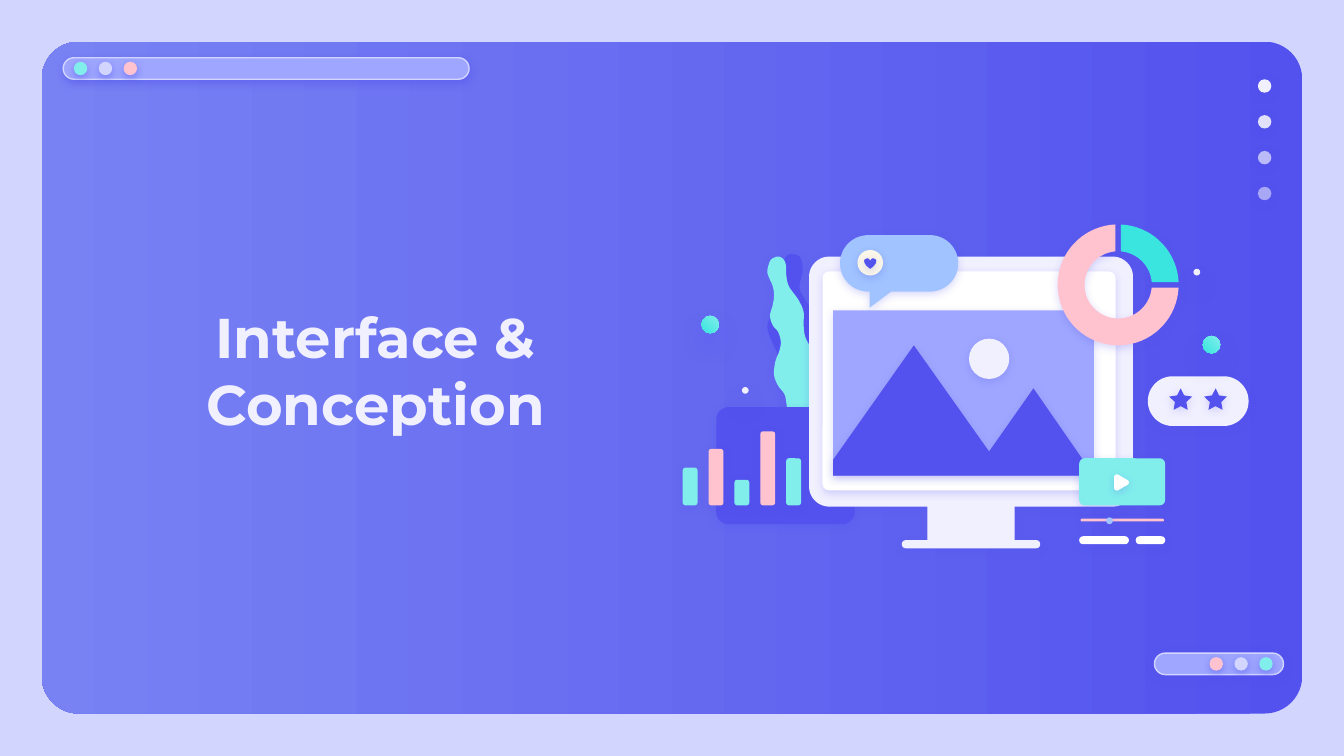
from math import asin, cos, degrees, radians, sin

from lxml.etree import SubElement
from pptx import Presentation
from pptx.dml.color import RGBColor
from pptx.enum.shapes import MSO_SHAPE
from pptx.enum.text import MSO_ANCHOR, PP_ALIGN
from pptx.oxml.ns import qn
from pptx.util import Inches, Pt

COLORS = {
    "background": "D2D6FF", "indigo": "5352EE", "violet": "7882F3",
    "lavender": "9EA6FF", "mint": "81EEEB", "teal": "3AE4DF",
    "pink": "FFC3D0", "sky": "A1C3FF", "pale": "F1F0FF",
    "cream": "FAF6E8", "white": "FFFFFF",
}
# Shadows: opacity in percent, blur and distance in points
FIRM, LIGHT, FAINT, GLOW = (50, 4.5, 1.5), (22, 4.5, 1.5), (18, 4.5, 1.5), (38, 12.4, 6.8)

DARK_LEAF = [
    (5.89, 1.89), (5.95, 1.91), (5.97, 1.97), (5.97, 2.03), (5.95, 2.15), (6.01, 2.26),
    (6.06, 2.35), (6.07, 2.45), (6.04, 2.53), (6.09, 2.66), (6.15, 2.77), (6.12, 2.91),
    (6.08, 3.03), (6.05, 3.13), (5.98, 3.14), (5.87, 3.05), (5.87, 2.92),
    (5.87, 2.82), (5.79, 2.64), (5.71, 2.43), (5.78, 2.3), (5.85, 2.15), (5.84, 2.06),
    (5.83, 1.97), (5.85, 1.91),
]
MINT_LEAF = [
    (5.79, 1.91), (5.83, 1.93), (5.85, 1.98), (5.85, 2.04), (5.87, 2.13), (5.94, 2.23),
    (5.98, 2.32), (5.98, 2.41), (5.99, 2.5), (6.03, 2.58), (6.09, 2.66), (6.11, 2.75),
    (6.08, 2.83), (6.05, 2.96), (6.08, 3.03), (6.09, 3.13), (6.05, 3.19), (6, 3.21),
    (5.9, 3.17), (5.86, 3.05), (5.84, 2.94), (5.79, 2.87), (5.76, 2.79), (5.77, 2.69),
    (5.8, 2.61), (5.81, 2.54), (5.79, 2.47), (5.75, 2.42), (5.73, 2.35), (5.75, 2.27),
    (5.76, 2.2), (5.75, 2.13), (5.72, 2.06), (5.71, 2.02), (5.72, 1.97), (5.74, 1.93),
]


def rgb(name):
    return RGBColor.from_string(COLORS[name])


def arc(cx, cy, r, start, end):
    """Points on an arc; angles in degrees, clockwise from the top."""
    steps = max(8, round(abs(end - start) / 5))
    angles = [radians(start + (end - start) * i / steps) for i in range(steps + 1)]
    return [(cx + r * sin(a), cy - r * cos(a)) for a in angles]


def ring_part(cx, cy, outer, inner, start, end, gap):
    """Outline of a ring sector that keeps a constant gap at both ends."""
    far, near = degrees(asin(gap / outer)), degrees(asin(gap / inner))
    return (arc(cx, cy, outer, start + far, end - far)
            + arc(cx, cy, inner, end - near, start + near))


def smooth(points, steps=6):
    """Closed Catmull-Rom curve through the points."""
    curve = []
    for i in range(len(points)):
        p0, p1, p2, p3 = (points[(i + k) % len(points)] for k in (-1, 0, 1, 2))
        for t in (n / steps for n in range(steps)):
            curve.append(tuple(
                (2 * b + (c - a) * t + (2 * a - 5 * b + 4 * c - d) * t ** 2
                 + (3 * b - a - 3 * c + d) * t ** 3) / 2
                for a, b, c, d in zip(p0, p1, p2, p3)))
    return curve


class SlideBuilder:
    font = "Montserrat"

    def __init__(self, slide):
        self.slide = slide
        slide.background.fill.solid()
        slide.background.fill.fore_color.rgb = rgb("background")

    def style(self, sp, color, shadow=None):
        sp.shadow.inherit = False
        sp.line.fill.background()
        if isinstance(color, tuple):
            sp.fill.gradient()
            for stop, name, position in zip(sp.fill.gradient_stops, color, (0, 1)):
                stop.color.rgb, stop.position = rgb(name), position
        else:
            sp.fill.solid()
            sp.fill.fore_color.rgb = rgb(color)
        if shadow:
            opacity, blur, distance = shadow
            effects = sp._element.spPr.find(qn("a:effectLst"))
            outer = SubElement(effects, qn("a:outerShdw"), blurRad=str(Pt(blur)),
                               dist=str(Pt(distance)), dir="5400000",
                               algn="bl", rotWithShape="0")
            clr = SubElement(outer, qn("a:srgbClr"), val=COLORS["indigo"])
            SubElement(clr, qn("a:alpha"), val=str(opacity * 1000))
        return sp

    def preset(self, kind, x, y, w, h, color, shadow=LIGHT):
        sp = self.slide.shapes.add_shape(kind, Inches(x), Inches(y), Inches(w), Inches(h))
        return self.style(sp, color, shadow)

    def rounded(self, x, y, w, h, radius, color, shadow=LIGHT):
        sp = self.preset(MSO_SHAPE.ROUNDED_RECTANGLE, x, y, w, h, color, shadow)
        sp.adjustments[0] = radius / min(w, h)
        return sp

    def pill(self, x, y, w, h, color, shadow=LIGHT):
        return self.rounded(x, y, w, h, h / 2, color, shadow)

    def bar_pill(self, x, y, w):
        sp = self.pill(x, y, w, 0.16, "lavender", FIRM)
        sp.line.color.rgb = rgb("background")
        sp.line.width = Pt(0.75)

    def dot(self, x, y, d, color, shadow=LIGHT, opacity=100):
        sp = self.preset(MSO_SHAPE.OVAL, x, y, d, d, color, shadow)
        if opacity < 100:
            clr = sp._element.spPr.find(qn("a:solidFill"))[0]
            SubElement(clr, qn("a:alpha"), val=str(opacity * 1000))
        return sp

    def outline(self, points, color, shadow=LIGHT):
        start, *rest = [(Inches(x), Inches(y)) for x, y in points]
        builder = self.slide.shapes.build_freeform(*start)
        builder.add_line_segments(rest, close=True)
        return self.style(builder.convert_to_shape(), color, shadow)

    def title(self, text, x, y, w, h):
        tf = self.slide.shapes.add_textbox(Inches(x), Inches(y), Inches(w), Inches(h)).text_frame
        tf.word_wrap = True
        tf.vertical_anchor = MSO_ANCHOR.TOP
        tf.margin_left = tf.margin_right = tf.margin_top = tf.margin_bottom = Inches(0.1)
        tf.text = text
        p = tf.paragraphs[0]
        p.alignment = PP_ALIGN.CENTER
        font = p.runs[0].font
        font.name, font.size, font.bold = self.font, Pt(30), True
        font.color.rgb = rgb("pale")


def draw_frame(s):
    panel = s.rounded(0.31, 0.31, 9.38, 5, 0.28, ("indigo", "violet"), None)
    panel.fill.gradient_angle = 180
    dots = ("mint", "background", "pink")
    for bar, width, first, y, colors in ((0.47, 3.02, 0.55, 0.43, dots),
                                         (8.59, 0.96, 9, 4.86, dots[::-1])):
        s.bar_pill(bar, y, width)
        for i, color in enumerate(colors):
            s.dot(first + 0.37 * i / 2, y + 0.03, 0.1, color, FIRM)
    for i, opacity in enumerate((100, 90, 67, 54)):
        s.dot(9.36, 0.59 + 0.8 * i / 3, 0.1, "pale", FIRM, opacity)


def draw_plant_and_bars(s):
    s.outline(smooth(DARK_LEAF), "indigo", FAINT)
    s.outline(smooth(MINT_LEAF), "mint", FAINT)
    s.rounded(5.33, 3.03, 1.03, 0.87, 0.09, "indigo")
    for i, height in enumerate((0.28, 0.42, 0.19, 0.55, 0.35)):
        s.rounded(5.08 + 0.77 * i / 4, 3.76 - height, 0.11, height, 0.02,
                  ("mint", "pink")[i % 2])


def draw_monitor(s):
    s.outline(arc(6.17, 2.06, 0.15, 270, 360) + arc(8.28, 2.06, 0.15, 0, 90)
              + arc(8.28, 3.62, 0.15, 90, 180) + [(7.55, 3.77), (7.55, 4.02)]
              + arc(7.71, 4.05, 0.03, 0, 180) + arc(6.74, 4.05, 0.03, 180, 360)
              + [(6.9, 4.02), (6.9, 3.77)] + arc(6.17, 3.62, 0.15, 180, 270), "pale")
    s.rounded(6.12, 2.02, 2.18, 1.63, 0.05, "white")


def draw_bubble(s):
    s.outline(arc(6.46, 1.96, 0.21, 180, 360) + arc(6.92, 1.96, 0.21, 0, 180)
              + [(6.63, 2.17), (6.47, 2.29), (6.47, 2.17)], "sky")
    s.dot(6.38, 1.86, 0.19, "cream")
    s.preset(MSO_SHAPE.HEART, 6.43, 1.92, 0.09, 0.08, "indigo")


def draw_landscape(s):
    s.preset(MSO_SHAPE.RECTANGLE, 6.2, 2.31, 1.94, 1.23, "lavender", FAINT)
    s.outline([(6.8, 2.57), (6.2, 3.42), (6.2, 3.54), (8.14, 3.54),
               (7.69, 2.89), (7.36, 3.36)], "indigo", FAINT)
    s.dot(7.21, 2.52, 0.3, "pale", FAINT)


def draw_rating_and_player(s):
    s.pill(8.54, 2.8, 0.75, 0.37, "pale")
    for x in (8.7, 8.96):
        star = s.preset(MSO_SHAPE.STAR_5_POINT, x, 2.89, 0.17, 0.16, "indigo")
        star.adjustments[0] = 0.25
    for x, width in ((8.03, 0.37), (8.45, 0.22)):
        s.pill(x, 3.99, width, 0.06, "white")
    s.pill(8.04, 3.86, 0.62, 0.02, "pink")
    s.dot(8.23, 3.85, 0.05, "sky")
    s.rounded(8.03, 3.41, 0.64, 0.35, 0.04, "mint")
    s.outline(arc(8.31, 3.55, 0.02, 270, 390) + arc(8.38, 3.59, 0.02, 30, 150)
              + arc(8.31, 3.63, 0.02, 150, 270), "white")


def main():
    prs = Presentation()
    prs.slide_width, prs.slide_height = Inches(10), Inches(10 * 9 / 16)
    s = SlideBuilder(prs.slides.add_slide(prs.slide_layouts[6]))
    draw_frame(s)
    s.title("Interface & Conception", 0.43, 2.15, 4.73, 1.48)
    draw_plant_and_bars(s)
    draw_monitor(s)
    draw_bubble(s)
    draw_landscape(s)
    draw_rating_and_player(s)
    for start, end, color in ((0, 90, "teal"), (90, 360, "pink")):
        s.outline(ring_part(8.32, 2.12, 0.45, 0.25, start, end, 0.02), color)
    for x, y in ((8.95, 2.5), (5.22, 2.35)):
        s.dot(x, y, 0.13, ("mint", "teal"), GLOW).fill.gradient_angle = 225
    for x, y in ((8.88, 2), (5.52, 2.88)):
        s.dot(x, y, 0.05, "pale", GLOW)
    prs.save("out.pptx")


if __name__ == "__main__":
    main()
